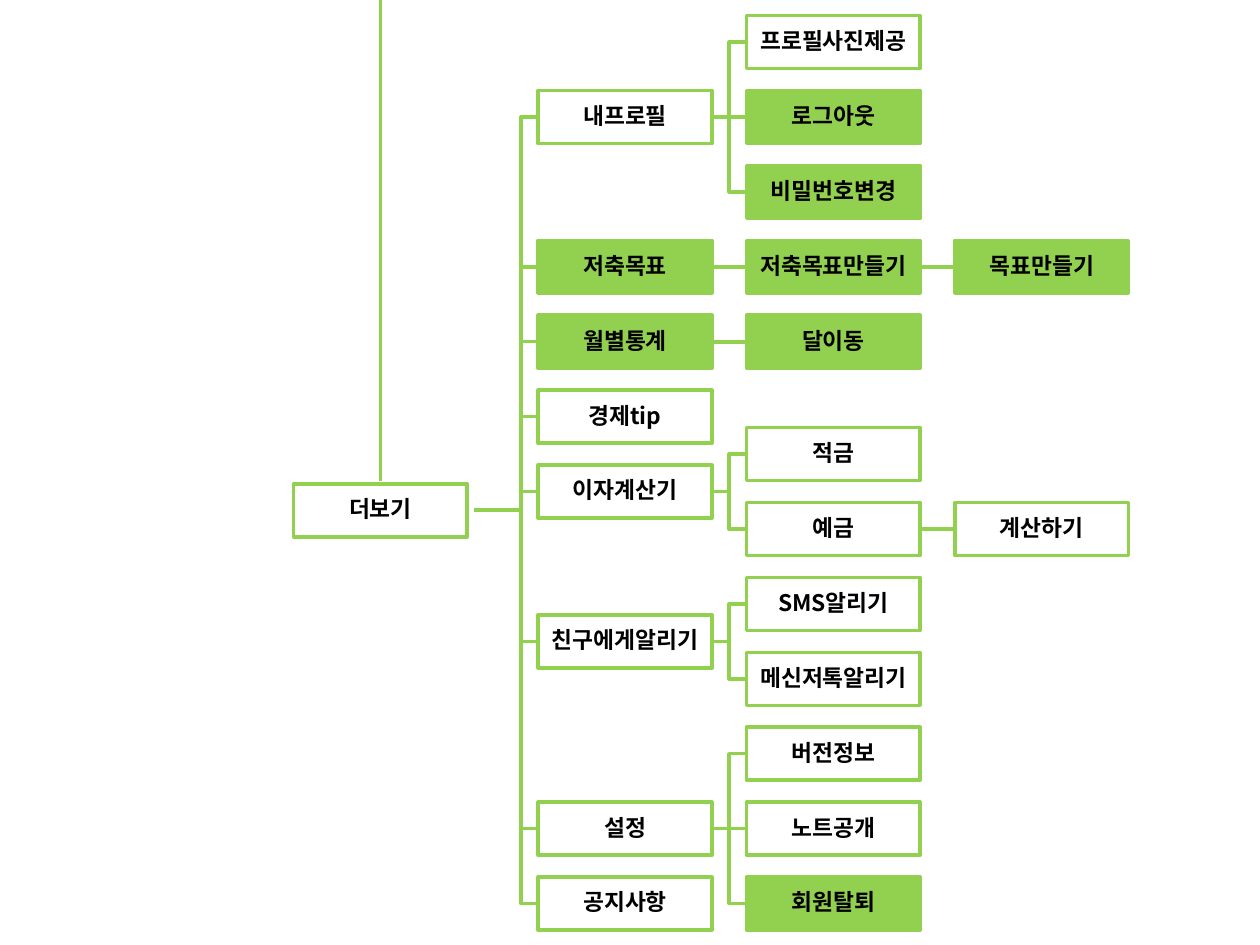
import pptx
import pptx.util
import pptx.dml.color
import pptx.enum.shapes
import pptx.enum.text
from lxml import etree
from pptx.util import Cm, Pt

COLORS = {"green": "92D050", "white": "FFFFFF", "black": "000000"}
FONT = "Noto Sans CJK KR"
BOX_W, BOX_H, GAP, ROW_H = 3.5, 1.07, 0.7, 1.51

# (label, row, filled, children)
MENU = [
    ("내프로필", 1, False, [
        ("프로필사진제공", 0, False, []),
        ("로그아웃", 1, True, []),
        ("비밀번호변경", 2, True, []),
    ]),
    ("저축목표", 3, True, [
        ("저축목표만들기", 3, True, [("목표만들기", 3, True, [])]),
    ]),
    ("월별통계", 4, True, [("달이동", 4, True, [])]),
    ("경제tip", 5, False, []),
    ("이자계산기", 6, False, [
        ("적금", 5.5, False, []),
        ("예금", 6.5, False, [("계산하기", 6.5, False, [])]),
    ]),
    ("친구에게알리기", 8, False, [
        ("SMS알리기", 7.5, False, []),
        ("메신저톡알리기", 8.5, False, []),
    ]),
    ("설정", 10.5, False, [
        ("버전정보", 9.5, False, []),
        ("노트공개", 10.5, False, []),
        ("회원탈퇴", 11.5, True, []),
    ]),
    ("공지사항", 11.5, False, []),
]
ROOT_ROW = (MENU[0][1] + MENU[-1][1]) / 2


def rgb(name):
    """Return the named colour."""
    return pptx.dml.color.RGBColor.from_string(COLORS[name])


def add_line(s, x1, y1, x2, y2, width):
    """Draw a straight green line between two points."""
    cn = s.shapes.add_connector(pptx.enum.shapes.MSO_CONNECTOR.STRAIGHT,
                                Cm(x1), Cm(y1), Cm(x2), Cm(y2))
    cn.line.color.rgb = rgb("green")
    cn.line.width = Pt(width)
    etree.SubElement(cn._element.spPr, pptx.oxml.ns.qn("a:effectLst"))


def add_branch(s, x, y1, y2):
    """Link a parent to a child across the gap, bending halfway."""
    if y1 == y2:
        add_line(s, x, y1, x + GAP, y2, 2)
        return
    mid = x + GAP / 2
    fb = s.shapes.build_freeform(Cm(x), Cm(y1))
    fb.add_line_segments([(Cm(mid), Cm(y1)), (Cm(mid), Cm(y2)),
                          (Cm(x + GAP), Cm(y2))], close=False)
    sp = fb.convert_to_shape()
    sp.shadow.inherit = False
    sp.fill.background()
    sp.line.color.rgb = rgb("green")
    sp.line.width = Pt(2)


def add_box(s, x, y, label, filled):
    """Draw a labelled box with its left edge at x and its centre at y."""
    sp = s.shapes.add_shape(pptx.enum.shapes.MSO_SHAPE.RECTANGLE,
                            Cm(x), Cm(y - BOX_H / 2), Cm(BOX_W), Cm(BOX_H))
    sp.shadow.inherit = False
    sp.fill.solid()
    sp.fill.fore_color.rgb = rgb("green" if filled else "white")
    sp.line.color.rgb = rgb("green")
    sp.line.width = Pt(2)
    tf = sp.text_frame
    tf.text = label
    tf.word_wrap = True
    tf.vertical_anchor = pptx.enum.text.MSO_ANCHOR.MIDDLE
    tf.margin_left = tf.margin_right = tf.margin_top = tf.margin_bottom = Cm(0.02)
    p = tf.paragraphs[0]
    p.alignment = pptx.enum.text.PP_ALIGN.CENTER
    p.line_spacing = 0.9
    p.space_after = Pt(4.5)
    r = p.runs[0]
    r.font.size = Pt(13)
    r.font.bold = True
    r.font.name = FONT
    r.font.color.rgb = rgb("black")
    ea = etree.SubElement(r.font._element, pptx.oxml.ns.qn("a:ea"))
    ea.set("typeface", FONT)


def add_tree(s, x, top, parent_row, nodes):
    """Draw a column of nodes at x with their branches and subtrees."""
    for label, row, filled, children in nodes:
        y = top + row * ROW_H
        add_branch(s, x - GAP, top + parent_row * ROW_H, y)
        add_tree(s, x + BOX_W + GAP, top, row, children)
        add_box(s, x, y, label, filled)


def add_root(s, x, top):
    """Draw the root box, the line from above and the line to the tree."""
    y = top + ROOT_ROW * ROW_H
    add_box(s, x, y, "더보기", False)
    add_line(s, x + BOX_W / 2, 0, x + BOX_W / 2, y - 0.6, 2.25)
    add_line(s, x + BOX_W + 0.13, y, x + BOX_W + 1.08, y, 2.25)


def main():
    """Build and save the menu tree slide."""
    prs = pptx.Presentation()
    prs.slide_width, prs.slide_height = Cm(25.4), Cm(19.05)
    s = prs.slides.add_slide(prs.slide_layouts[6])
    add_tree(s, 10.85, 0.85, ROOT_ROW, MENU)
    add_root(s, 5.92, 0.85)
    prs.save("out.pptx")


if __name__ == "__main__":
    main()
